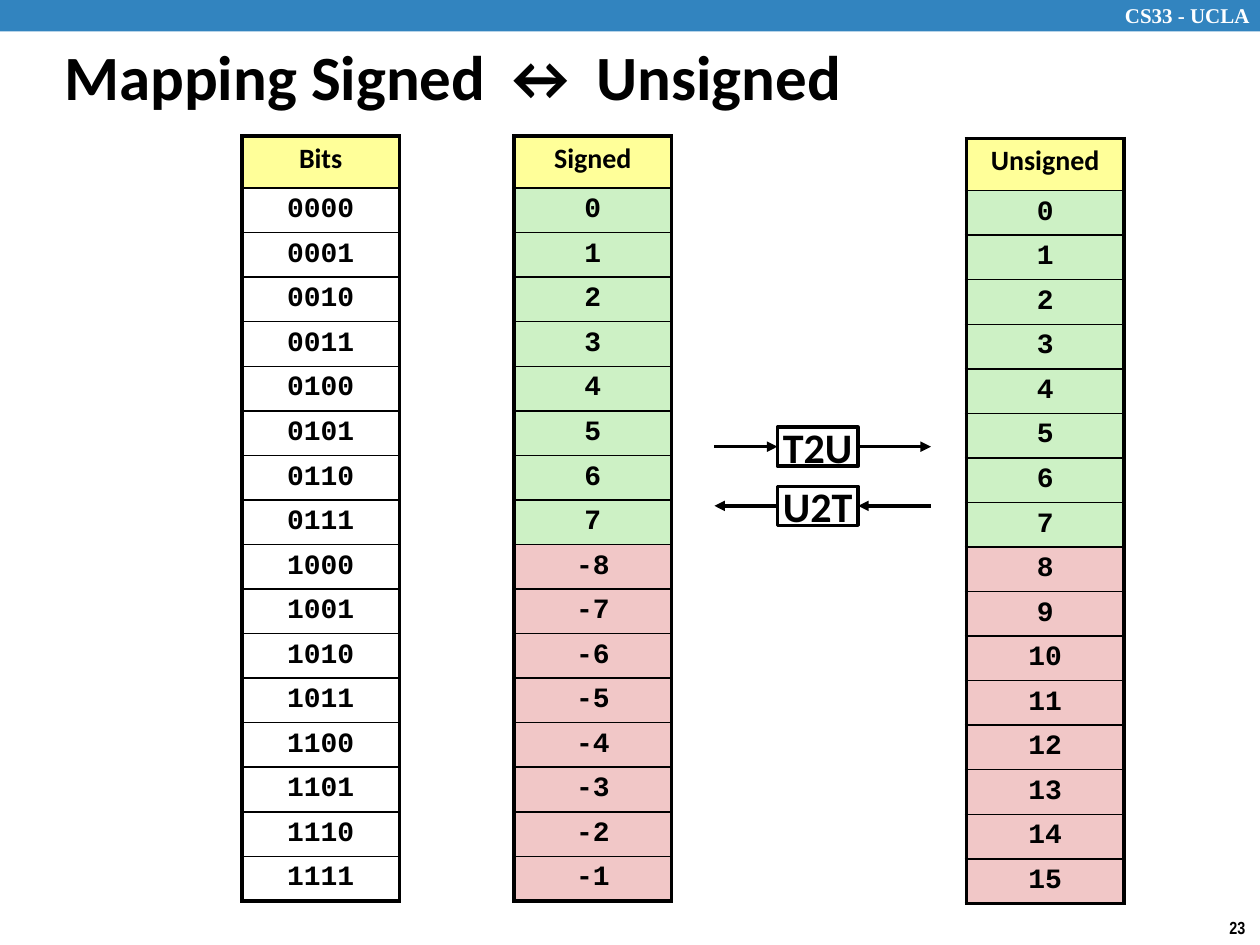
from lxml import etree
from pptx import Presentation
from pptx.dml.color import RGBColor
from pptx.enum.shapes import MSO_CONNECTOR, MSO_SHAPE
from pptx.enum.text import MSO_ANCHOR, PP_ALIGN
from pptx.oxml.ns import qn
from pptx.util import Pt

RECTANGLE = MSO_SHAPE.RECTANGLE
STRAIGHT = MSO_CONNECTOR.STRAIGHT
LEFT, CENTER = PP_ALIGN.LEFT, PP_ALIGN.CENTER
TOP, MIDDLE = MSO_ANCHOR.TOP, MSO_ANCHOR.MIDDLE
LEFT_SIDE, RIGHT_SIDE = 1, 3

BLACK = RGBColor(0x00, 0x00, 0x00)
WHITE = RGBColor(0xFF, 0xFF, 0xFF)
BLUE = RGBColor(0x32, 0x84, 0xBF)
YELLOW = RGBColor(0xFF, 0xFF, 0x99)
GREEN = RGBColor(0xCD, 0xF1, 0xC5)
RED = RGBColor(0xF1, 0xC7, 0xC7)

# Left, top, heading, values, fills of the lower and upper half
HALF = 8
TABLES = [
    (138.25, 77.75, "Bits", [f"{n:04b}" for n in range(2 * HALF)], (None, None)),
    (293.75, 77.75, "Signed", [*range(HALF), *range(-HALF, 0)], (GREEN, RED)),
    (552.25, 79.2, "Unsigned", range(2 * HALF), (GREEN, RED)),
]
TABLE_WIDTH, HEADING_HEIGHT, ROW_HEIGHT = 90, 29.75, 25.45
CELL_INSET = 3.6
THICK, THIN = 2.25, 1

# Label, top, whether the arrows point right
CONVERSIONS = [("T2U", 244.1, True), ("U2T", 277.9, False)]
BOX_LEFT, BOX_WIDTH, BOX_HEIGHT = 444.25, 46.1, 22.3
ARROWS_LEFT, ARROWS_RIGHT = 408.25, 532


def set_text(frame, text, font="Calibri", size=16, color=BLACK, align=LEFT,
             anchor=TOP, wrap=False, spacing=None):
    frame.word_wrap = wrap
    frame.vertical_anchor = anchor
    paragraph = frame.paragraphs[0]
    paragraph.alignment = align
    if spacing:
        paragraph.line_spacing = spacing
    run = paragraph.add_run()
    run.text = text
    run.font.name = font
    run.font.size = Pt(size)
    run.font.bold = True
    run.font.color.rgb = color


def add_text(slide, left, top, width, height, text, inset=(7.2, 3.6), **style):
    box = slide.shapes.add_textbox(Pt(left), Pt(top), Pt(width), Pt(height))
    frame = box.text_frame
    frame.margin_left = frame.margin_right = Pt(inset[0])
    frame.margin_top = frame.margin_bottom = Pt(inset[1])
    set_text(frame, text, **style)


def add_rectangle(slide, left, top, width, height, fill, line_width=None):
    shape = slide.shapes.add_shape(
        RECTANGLE, Pt(left), Pt(top), Pt(width), Pt(height))
    shape.shadow.inherit = False
    shape.fill.solid()
    shape.fill.fore_color.rgb = fill
    if line_width:
        shape.line.color.rgb = BLACK
        shape.line.width = Pt(line_width)
    else:
        shape.line.fill.background()
    return shape


def set_borders(cell, **widths):
    """Draw black borders; call before filling, as the fill follows in the XML."""
    properties = cell._tc.get_or_add_tcPr()
    for side in ("L", "R", "T", "B"):
        line = etree.SubElement(
            properties, qn(f"a:ln{side}"), w=str(Pt(widths[side])))
        fill = etree.SubElement(line, qn("a:solidFill"))
        etree.SubElement(fill, qn("a:srgbClr"), val=str(BLACK))


def add_value_table(slide, left, top, heading, values, half_fills):
    texts = [heading, *map(str, values)]
    fills = [YELLOW] + [half_fills[0]] * HALF + [half_fills[1]] * HALF
    last = len(texts) - 1
    height = HEADING_HEIGHT + last * ROW_HEIGHT
    table = slide.shapes.add_table(
        len(texts), 1, Pt(left), Pt(top), Pt(TABLE_WIDTH), Pt(height)).table
    table.first_row = table.horz_banding = False
    for index, (text, fill) in enumerate(zip(texts, fills)):
        table.rows[index].height = Pt(ROW_HEIGHT if index else HEADING_HEIGHT)
        cell = table.cell(index, 0)
        cell.margin_left = cell.margin_right = Pt(CELL_INSET)
        cell.margin_top = cell.margin_bottom = Pt(CELL_INSET)
        set_borders(cell, L=THICK, R=THICK,
                    T=THIN if index else THICK,
                    B=THICK if index == last else THIN)
        if fill is None:
            cell.fill.background()
        else:
            cell.fill.solid()
            cell.fill.fore_color.rgb = fill
        set_text(cell.text_frame, text, align=CENTER, spacing=0.95, wrap=True,
                 font="Courier New" if index else "Calibri")


def add_arrow(slide, box, side, outer_x, toward_box):
    """Join a side of the box to outer_x with a level arrow."""
    inner_x = box.left if side == LEFT_SIDE else box.left + box.width
    middle = box.top + box.height // 2
    ends = (Pt(outer_x), inner_x) if toward_box else (inner_x, Pt(outer_x))
    arrow = slide.shapes.add_connector(STRAIGHT, ends[0], middle, ends[1], middle)
    if toward_box:
        arrow.end_connect(box, side)
    else:
        arrow.begin_connect(box, side)
    arrow.line.color.rgb = BLACK
    arrow.line.width = Pt(2)
    etree.SubElement(arrow.line._get_or_add_ln(), qn("a:tailEnd"), type="triangle")
    etree.SubElement(arrow._element.spPr, qn("a:effectLst"))


def add_conversion(slide, label, top, points_right):
    box = add_rectangle(slide, BOX_LEFT, top, BOX_WIDTH, BOX_HEIGHT, WHITE, 2)
    set_text(box.text_frame, label, size=24, align=CENTER, anchor=MIDDLE)
    add_arrow(slide, box, LEFT_SIDE, ARROWS_LEFT, points_right)
    add_arrow(slide, box, RIGHT_SIDE, ARROWS_RIGHT, not points_right)


def main():
    presentation = Presentation()
    presentation.slide_width, presentation.slide_height = Pt(720), Pt(540)
    slide = presentation.slides.add_slide(presentation.slide_layouts[6])

    add_rectangle(slide, 0, 0, 720, 18, BLUE)
    add_text(slide, 635.75, -2, 89.3, 21.6, "CS33 - UCLA",
             font="Times New Roman", size=12, color=WHITE, wrap=True)
    add_text(slide, 695.5, 520.5, 24.5, 19.4, "23", font="Arial Narrow", size=10)
    add_text(slide, 31.7, 19.4, 537, 44, "Mapping Signed ↔ Unsigned",
             inset=(5, 2.2), size=36)
    for table in TABLES:
        add_value_table(slide, *table)
    for conversion in CONVERSIONS:
        add_conversion(slide, *conversion)
    presentation.save("out.pptx")


if __name__ == "__main__":
    main()
